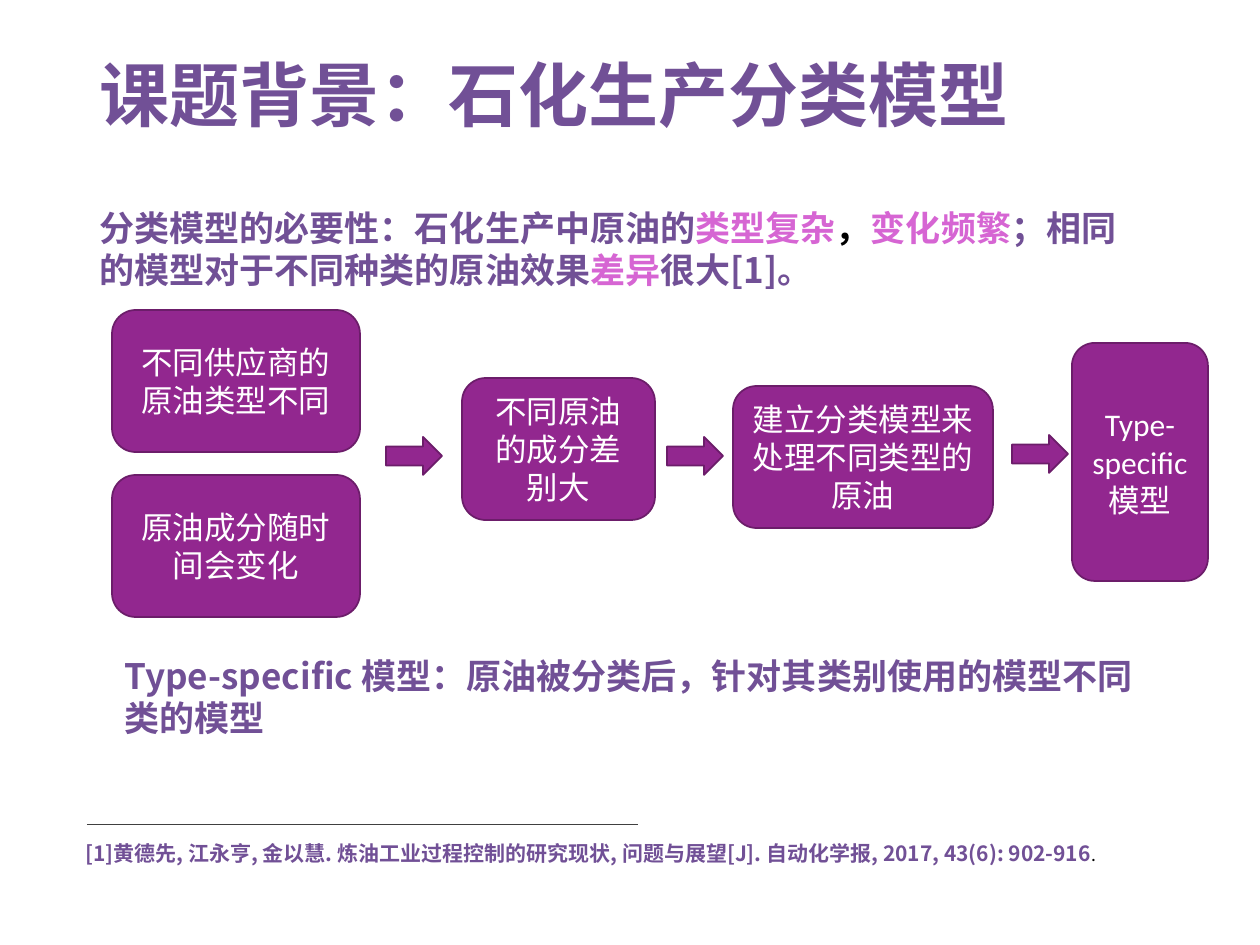
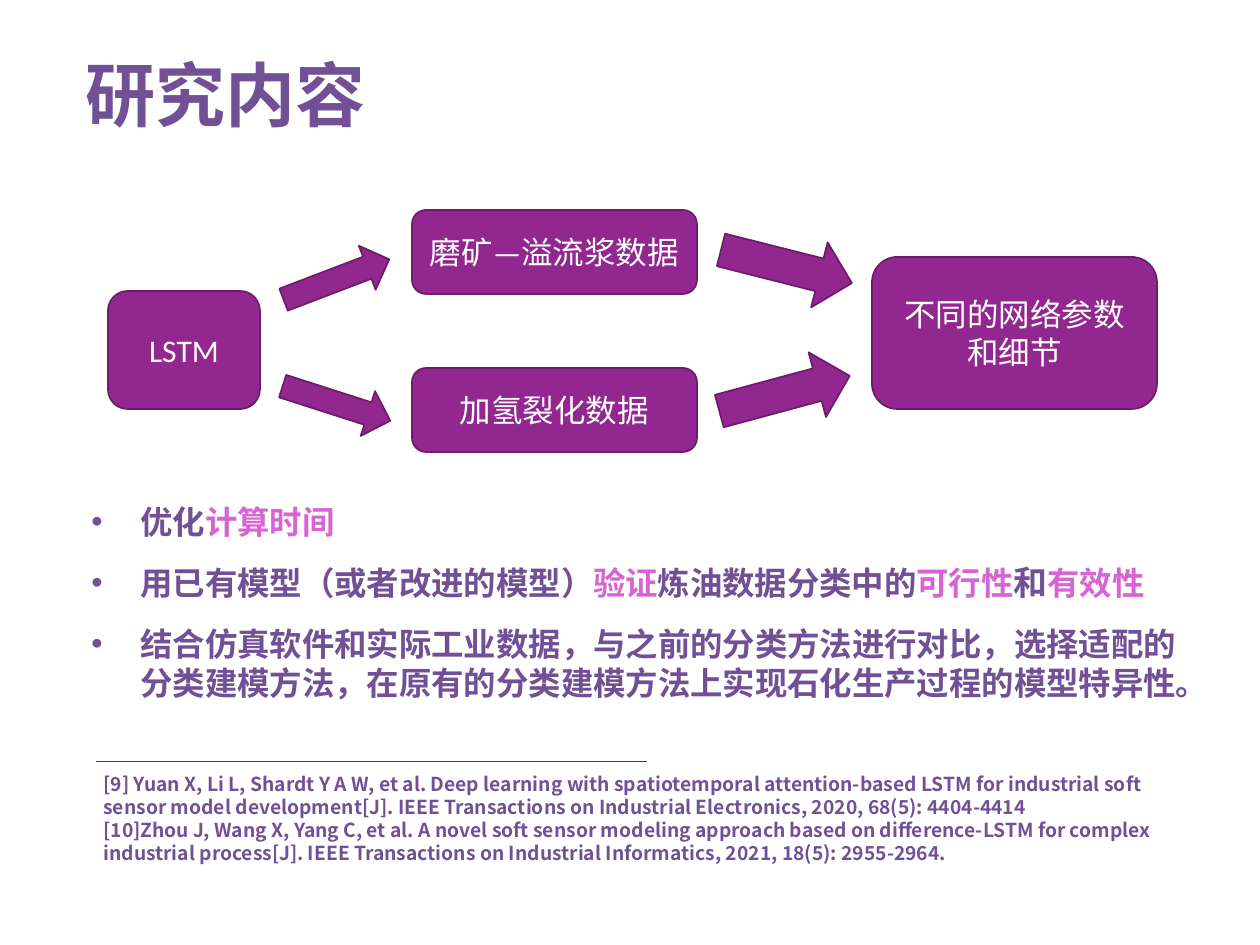
import dataclasses
import pptx
import pptx.dml.color
import pptx.enum.shapes
import pptx.enum.text
import pptx.oxml.ns
import pptx.util
import lxml.etree

SCALE = 914400 / 126
FORM = pptx.enum.shapes.MSO_SHAPE
ALIGN = pptx.enum.text.PP_ALIGN
ANCHOR = pptx.enum.text.MSO_ANCHOR
qn = pptx.oxml.ns.qn


@dataclasses.dataclass(frozen=True)
class Theme:
    """Colours, fonts and type sizes of the deck."""
    ink: str = "715096"
    pink: str = "D665D3"
    fill: str = "92278F"
    edge: str = "6C1D6A"
    rule: str = "404040"
    black: str = "000000"
    white: str = "FFFFFF"
    sans: str = "Noto Sans CJK SC"
    plain: str = "Calibri"
    title: float = 40
    body: float = 20
    item: float = 18.5
    wide: float = 19.4
    node: float = 18
    cite: float = 12
    small: float = 11


T = Theme()


def px(num):
    """Turn px into EMU."""
    return pptx.util.Emu(round(num * SCALE))


def rgb(code):
    """Turn a hex code into a colour."""
    return pptx.dml.color.RGBColor.from_string(code)


def style(font, size, color, name, bold):
    """Set the four traits of a font."""
    font.size = pptx.util.Pt(size)
    font.color.rgb = rgb(color)
    font.name = name
    font.bold = bold


def write(para, runs, size, color=T.ink, name=T.sans, bold=True):
    """Fill a paragraph with plain strings and (text, traits) pairs."""
    style(para.font, size, color, name, bold)
    base = para._p.pPr.find(qn("a:defRPr"))
    lxml.etree.SubElement(base, qn("a:ea"), typeface=name)
    for part in runs:
        text, traits = (part, {}) if isinstance(part, str) else part
        run = para.add_run()
        run.text = text
        if traits:
            look = dict(size=size, color=color, name=name, bold=bold)
            style(run.font, **{**look, **traits})


def frame(slide, box):
    """Add a wrapping text box and return its text frame."""
    text = slide.shapes.add_textbox(*map(px, box)).text_frame
    text.word_wrap = True
    return text


def title(slide, box, words):
    """Place the slide title."""
    text = frame(slide, box)
    text.vertical_anchor = ANCHOR.MIDDLE
    para = text.paragraphs[0]
    para.line_spacing = 0.9
    write(para, [words], T.title)


def prose(slide, box, paras, size, dots=False):
    """Place body paragraphs, with bullets if asked."""
    text = frame(slide, box)
    for num, runs in enumerate(paras):
        para = text.add_paragraph() if num else text.paragraphs[0]
        para.space_before = pptx.util.Pt(12)
        if dots:
            props = para._p.get_or_add_pPr()
            props.set("marL", str(px(49)))
            props.set("indent", str(-px(49)))
            lxml.etree.SubElement(props, qn("a:buFont"), typeface="Arial")
            lxml.etree.SubElement(props, qn("a:buChar"), char="•")
        write(para, runs, size)


def block(slide, form, box):
    """Add a filled and outlined shape."""
    shape = slide.shapes.add_shape(form, *map(px, box))
    shape.shadow.inherit = False
    shape.fill.solid()
    shape.fill.fore_color.rgb = rgb(T.fill)
    shape.line.color.rgb = rgb(T.edge)
    shape.line.width = pptx.util.Pt(1)
    return shape


def flow(slide, origin, nodes, arrows):
    """Place labelled nodes and turned arrows relative to an origin."""
    left, top = origin
    for label, x, y, wide, high in nodes:
        box = left + x, top + y, wide, high
        text = block(slide, FORM.ROUNDED_RECTANGLE, box).text_frame
        text.word_wrap = True
        text.vertical_anchor = ANCHOR.MIDDLE
        para = text.paragraphs[0]
        para.alignment = ALIGN.CENTER
        write(para, [label], T.node, T.white, T.plain, False)
    for x, y, wide, high, turn in arrows:
        box = left + x, top + y, wide, high
        block(slide, FORM.RIGHT_ARROW, box).rotation = turn


def notes(slide, box, rule, paras, size):
    """Place the references under a thin rule that starts at rule."""
    x, y = rule
    line = slide.shapes.add_connector(
        pptx.enum.shapes.MSO_CONNECTOR.STRAIGHT,
        *map(px, (x, y, x + 551, y)))
    line.line.color.rgb = rgb(T.rule)
    line.line.width = pptx.util.Pt(0.5)
    lxml.etree.SubElement(line._element.spPr, qn("a:effectLst"))
    text = frame(slide, box)
    for num, runs in enumerate(paras):
        para = text.add_paragraph() if num else text.paragraphs[0]
        write(para, runs, size)


def pink(text):
    """Mark words for emphasis."""
    return text, dict(color=T.pink)


def motive(slide):
    """Build the slide on why crude oil needs typed models."""
    title(slide, (87, 50, 1086, 97), "课题背景：石化生产分类模型")
    need = ["分类模型的必要性：石化生产中原油的", pink("类型复杂"),
            ("，", dict(color=T.black)), pink("变化频繁"),
            "；相同的模型对于不同种类的原油效果", pink("差异"), "很大[1]。"]
    prose(slide, (87, 200, 1050, 97), [need], T.body)
    nodes = [
        ("不同供应商的原油类型不同", 0, 0, 248, 142),
        ("原油成分随时间会变化", 0, 165, 248, 142),
        ("不同原油的成分差别大", 350, 68, 193, 142),
        ("建立分类模型来处理不同类型的原油", 621, 76, 260, 142),
        ("Type-specific模型", 960, 33, 136, 238),
    ]
    arrows = [(x, y, 56, 38, 0)
              for x, y in ((274, 127), (555, 127), (900, 125))]
    flow(slide, (112, 310), nodes, arrows)
    mean = "Type-specific 模型：原油被分类后，针对其类别使用的模型不同类的模型"
    prose(slide, (112, 648, 1050, 97), [[mean]], T.body)
    cite = ["[1]黄德先, 江永亨, 金以慧. 炼油工业过程控制的研究现状, "
            "问题与展望[J]. 自动化学报, 2017, 43(6): 902-916",
            (".", dict(size=T.small, color=T.black, name=T.plain, bold=False))]
    notes(slide, (73, 834, 1114, 38), (87, 824), [cite], T.cite)


def scope(slide):
    """Build the slide on the content of the research."""
    title(slide, (73, 50, 1130, 97), "研究内容")
    nodes = [
        ("LSTM", 0, 81, 152, 118),
        ("磨矿—溢流浆数据", 304, 0, 285, 84),
        ("加氢裂化数据", 304, 158, 285, 84),
        ("不同的网络参数和细节", 764, 47, 285, 152),
    ]
    arrows = [
        (172, 46, 113, 47, -20.9),
        (172, 170, 113, 47, 17.8),
        (611, 23, 135, 67, 14.2),
        (609, 150, 135, 67, -15.1),
    ]
    flow(slide, (108, 210), nodes, arrows)
    goals = [
        ["优化", pink("计算时间")],
        ["用已有模型（或者改进的模型）", pink("验证"), "炼油数据分类中的",
         pink("可行性"), ("和", dict(size=T.wide)), pink("有效性")],
        ["结合仿真软件和实际工业数据，与之前的分类方法进行对比，"
         "选择适配的分类建模方法，在原有的分类建模方法上"
         "实现石化生产过程的模型特异性。"],
    ]
    prose(slide, (79, 496, 1118, 267), goals, T.item, True)
    cites = [
        ["[9] Yuan X, Li L, Shardt Y A W, et al. Deep learning with "
         "spatiotemporal attention-based LSTM for industrial soft sensor "
         "model development[J]. IEEE Transactions on Industrial "
         "Electronics, 2020, 68(5): 4404-4414"],
        ["[10]Zhou J, Wang X, Yang C, et al. A novel soft sensor modeling "
         "approach based on difference-LSTM for complex industrial "
         "process[J]. IEEE Transactions on Industrial Informatics, 2021, "
         "18(5): 2955-2964."],
    ]
    notes(slide, (91, 766, 1114, 129), (96, 761), cites, T.small)


def main():
    """Build and save the deck."""
    deck = pptx.Presentation()
    deck.slide_width, deck.slide_height = px(1260), px(945)
    for build in (motive, scope):
        build(deck.slides.add_slide(deck.slide_layouts[6]))
    deck.save("out.pptx")


if __name__ == "__main__":
    main()
